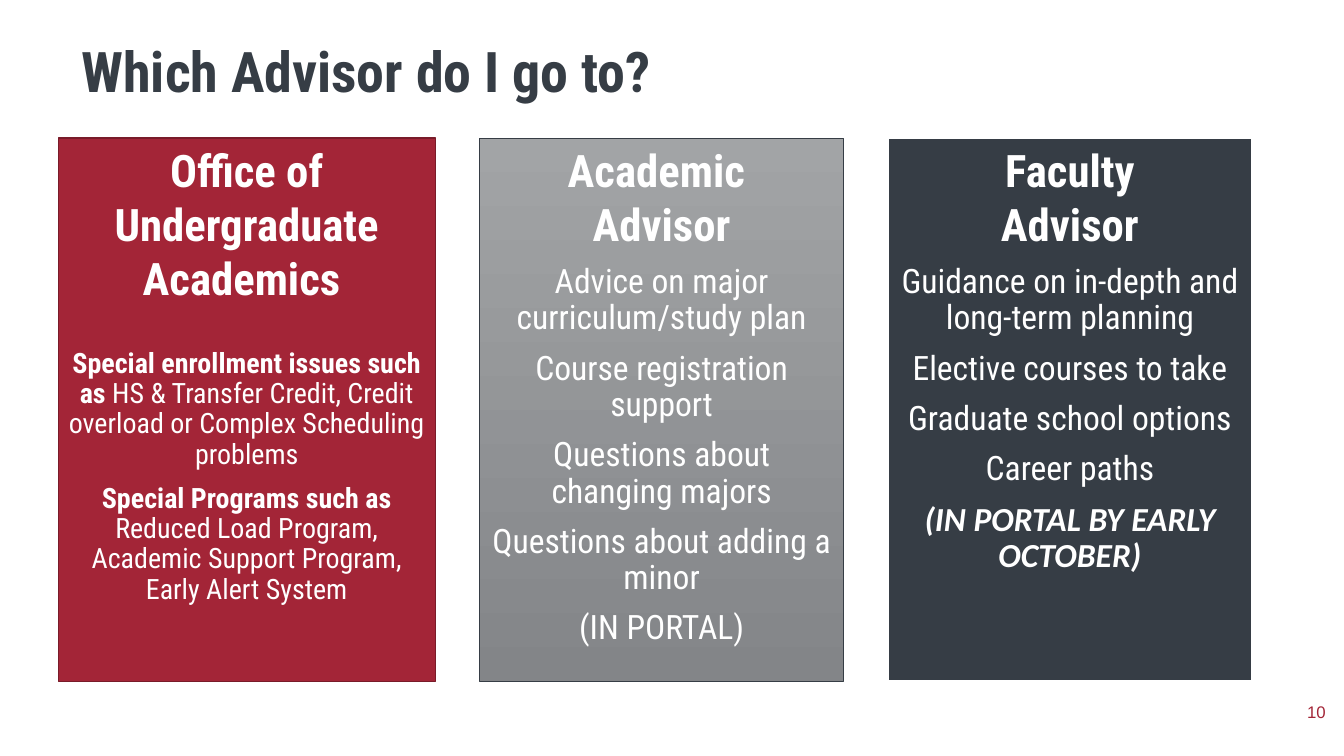
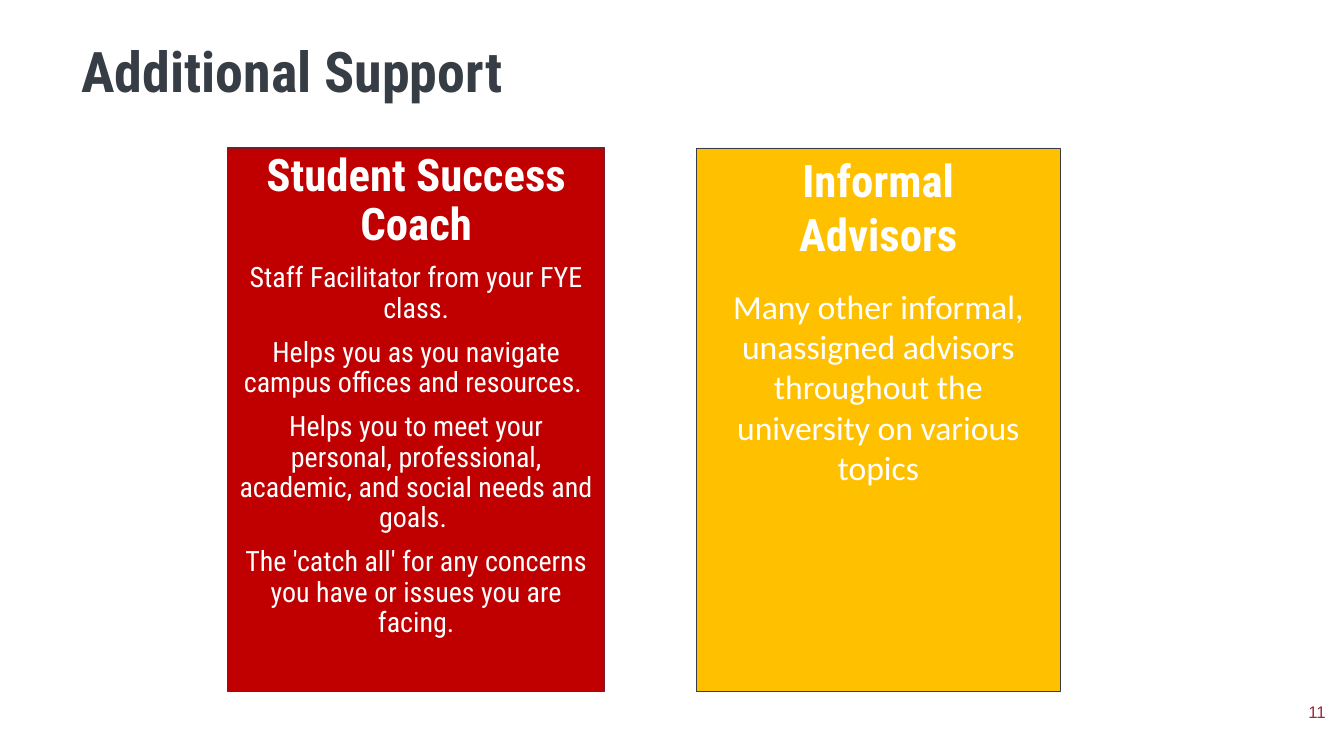
"""Build two slides on academic advisors and additional student support."""
from dataclasses import dataclass

import pptx
import pptx.dml.color
import pptx.enum.shapes
import pptx.enum.text
import pptx.util

Cm = pptx.util.Cm
Pt = pptx.util.Pt
ALIGN = pptx.enum.text.PP_ALIGN
ANCHOR = pptx.enum.text.MSO_ANCHOR


@dataclass(frozen=True)
class Theme:
    slate: str = "363D45"
    crimson: str = "A32537"
    maroon: str = "791B29"
    red: str = "C00000"
    amber: str = "FFC000"
    light_gray: str = "A2A4A6"
    dark_gray: str = "838588"
    white: str = "FFFFFF"
    font: str = "Roboto Condensed"
    accent_font: str = "Calibri"
    number_font: str = "Arial"
    title: int = 40
    heading: int = 32
    large: int = 24
    small: int = 20
    number: int = 12


theme = Theme()


def rgb(value):
    return pptx.dml.color.RGBColor.from_string(value)


def write(para, text, *, size, font=theme.font, color=theme.white, bold=False,
          italic=False, align=ALIGN.CENTER, spacing=1.0, before=0):
    para.alignment = align
    para.line_spacing = spacing
    para.space_before = Pt(before)
    for index, line in enumerate(text.split("\n")):
        if index:
            para.add_line_break()
        span = para.add_run()
        span.text = line
        span.font.size = Pt(size)
        span.font.name = font
        span.font.bold = bold
        span.font.italic = italic
        span.font.color.rgb = rgb(color)


heading = dict(size=theme.heading, bold=True)
large = dict(size=theme.large, spacing=0.9, before=10)
small = dict(size=theme.small, spacing=0.9, before=10)
after_gap = small | dict(before=32)
strong = dict(bold=True)
accent = large | dict(font=theme.accent_font, bold=True, italic=True)
informal = dict(size=theme.large, font=theme.accent_font, before=18)

wide, narrow = 9.5, 9.17
pages = [
    ("Which Advisor do I go to?", 10, 3.48, [
        (1.47, wide, [theme.crimson], theme.maroon, 1, [
            [("Office of Undergraduate Academics ", heading)],
            [("Special enrollment issues such as ", after_gap | strong),
             ("HS & Transfer Credit, Credit overload or Complex Scheduling problems", after_gap)],
            [("Special Programs such as ", small | strong),
             ("Reduced Load Program, Academic Support Program, Early Alert System", small)],
        ]),
        (12.09, narrow, [theme.light_gray, theme.dark_gray], theme.slate, 0.5, [
            [("Academic \nAdvisor", heading)],
            [("Advice on major curriculum/study plan", large)],
            [("Course registration support", large)],
            [("Questions about changing majors", large)],
            [("Questions about adding a minor", large)],
            [("(IN PORTAL)", large)],
        ]),
        (22.38, narrow, [theme.slate], theme.white, 1.5, [
            [("Faculty\nAdvisor", heading)],
            [("Guidance on in-depth and long-term planning", large)],
            [("Elective courses to take", large)],
            [("Graduate school options", large)],
            [("Career paths", large)],
            [("(IN PORTAL BY EARLY OCTOBER)", accent)],
        ]),
    ]),
    ("Additional Support", 11, 3.73, [
        (5.74, wide, [theme.red], theme.maroon, 1, [
            [("Student Success Coach", heading | dict(spacing=0.9))],
            [("Staff Facilitator from your FYE class.", small)],
            [("Helps you as you navigate campus offices and resources. ", small)],
            [("Helps you to meet your personal, professional, academic, "
              "and social needs and goals. ", small)],
            [("The 'catch all' for any concerns you have or issues you are facing.", small)],
        ]),
        (17.55, narrow, [theme.amber], theme.slate, 0.5, [
            [("Informal\nAdvisors", heading)],
            [("Many other informal, unassigned advisors throughout "
              "the university on various topics", informal)],
        ]),
    ]),
]

deck = pptx.Presentation()
deck.slide_width, deck.slide_height = Cm(33.87), Cm(19.05)

for title_text, number, top, cards in pages:
    page = deck.slides.add_slide(deck.slide_layouts[5])
    title = page.shapes.title
    title.left, title.top, title.width, title.height = Cm(1.8), Cm(0.94), Cm(29.74), Cm(1.88)
    title.text_frame.vertical_anchor = ANCHOR.MIDDLE
    write(title.text_frame.paragraphs[0], title_text, size=theme.title,
          color=theme.slate, bold=True, align=ALIGN.LEFT, spacing=0.9)

    for left, width, fills, outline, weight, paragraphs in cards:
        card = page.shapes.add_shape(pptx.enum.shapes.MSO_SHAPE.RECTANGLE,
                                     Cm(left), Cm(top), Cm(width), Cm(13.69))
        card.shadow.inherit = False
        if len(fills) == 1:
            card.fill.solid()
            card.fill.fore_color.rgb = rgb(fills[0])
        else:
            card.fill.gradient()
            card.fill.gradient_angle = 270
            for stop, color in zip(card.fill.gradient_stops, fills):
                stop.color.rgb = rgb(color)
        card.line.color.rgb = rgb(outline)
        card.line.width = Pt(weight)
        frame = card.text_frame
        frame.word_wrap = True
        frame.vertical_anchor = ANCHOR.TOP
        for index, spans in enumerate(paragraphs):
            para = frame.add_paragraph() if index else frame.paragraphs[0]
            for text, style in spans:
                write(para, text, **style)

    box = page.shapes.add_textbox(Cm(26.04), Cm(17.42), Cm(7.62), Cm(1.02))
    box.text_frame.word_wrap = True
    box.text_frame.vertical_anchor = ANCHOR.MIDDLE
    write(box.text_frame.paragraphs[0], str(number), size=theme.number,
          font=theme.number_font, color=theme.crimson, align=ALIGN.RIGHT)

deck.save("out.pptx")
